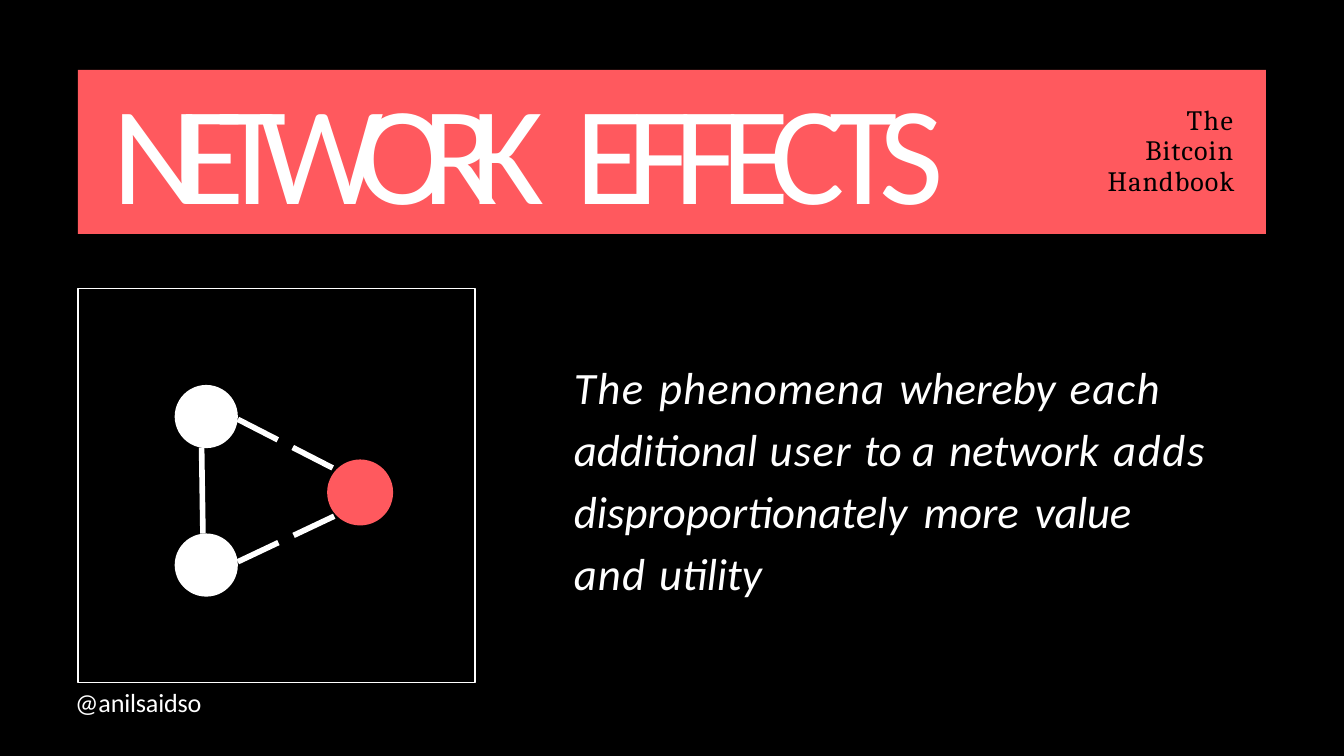
"""Build the Network Effects definition slide."""
from pptx import Presentation
from pptx import util as u
from pptx.dml.color import RGBColor
from pptx.enum import dml, shapes, text
from pptx.oxml import xmlchemy
from pptx.oxml.ns import qn

BLACK = RGBColor(0x00, 0x00, 0x00)
WHITE = RGBColor(0xFF, 0xFF, 0xFF)
CORAL = RGBColor(0xFF, 0x59, 0x5E)

WIDTH = u.Inches(10)
HEIGHT = u.Emu(WIDTH * 9 // 16)
NODE = 4.7


def across(share):
    """Turn a percentage of the slide width into a length."""
    return u.Emu(round(WIDTH * share / 100))


def down(share):
    """Turn a percentage of the slide height into a length."""
    return u.Emu(round(HEIGHT * share / 100))


def add_filled(slide, kind, left, top, width, height, fill=None, line=None, weight=0.75):
    """Add a preset shape with an optional fill and outline."""
    shape = slide.shapes.add_shape(kind, left, top, width, height)
    shape.shadow.inherit = False
    if fill is None:
        shape.fill.background()
    else:
        shape.fill.solid()
        shape.fill.fore_color.rgb = fill
    if line is None:
        shape.line.fill.background()
    else:
        shape.line.color.rgb = line
        shape.line.width = u.Pt(weight)
    return shape


def add_node(slide, x, y, fill, line=None):
    """Add a network node centred on a point."""
    size = across(NODE)
    add_filled(slide, shapes.MSO_SHAPE.OVAL, across(x) - size // 2, down(y) - size // 2,
               size, size, fill, line, 1.5)


def add_link(slide, start, end, dash=None):
    """Add a white link between two points."""
    link = slide.shapes.add_connector(shapes.MSO_CONNECTOR.STRAIGHT, across(start[0]),
                                      down(start[1]), across(end[0]), down(end[1]))
    link.line.color.rgb = WHITE
    link.line.width = u.Pt(3)
    if dash is not None:
        link.line.dash_style = dash
    properties = link._element.spPr
    properties.append(xmlchemy.OxmlElement("a:effectLst"))


def add_text(slide, box, runs, font, size, color, inset=0, indent=0.01,
             first_line=0, spacing=None, align=None, italic=None):
    """Add a one-paragraph text box from pairs of wording and letter spacing."""
    left, top, width, height = box
    shape = slide.shapes.add_textbox(across(left), down(top), across(width), down(height))
    frame = shape.text_frame
    frame.word_wrap = True
    frame.margin_left = frame.margin_right = frame.margin_bottom = 0
    frame.margin_top = u.Inches(inset)
    paragraph = frame.paragraphs[0]
    paragraph.alignment = align
    paragraph.line_spacing = spacing
    layout = paragraph._p.get_or_add_pPr()
    layout.set("marL", str(u.Inches(indent)))
    layout.set("indent", str(u.Inches(first_line)))
    for wording, tracking in runs:
        run = paragraph.add_run()
        run.text = wording
        run.font.name = font
        run.font.size = u.Pt(size)
        run.font.color.rgb = color
        run.font.italic = italic
        run._r.find(qn("a:rPr")).set("spc", str(round(tracking * 100)))


def spaced(words):
    """Give each word its letter spacing and the gap after it its own."""
    runs = []
    for word, tracking, gap in words:
        runs += [(word, tracking), (" ", gap)]
    return runs[:-1]


def add_network(slide):
    """Draw two linked nodes and a third one joining them."""
    add_node(slide, 15.35, 55.1, WHITE)
    add_node(slide, 15.35, 74.75, WHITE)
    add_node(slide, 26.8, 65.15, CORAL, CORAL)
    dash = dml.MSO_LINE.LONG_DASH
    add_link(slide, (17.7, 55.47), (25.1, 62.22), dash)
    add_link(slide, (17.7, 74.31), (25.1, 68.09), dash)
    add_link(slide, (15.1, 70.58), (15, 59.2))


def main():
    """Build and save the presentation."""
    presentation = Presentation()
    presentation.slide_width, presentation.slide_height = WIDTH, HEIGHT
    slide = presentation.slides.add_slide(presentation.slide_layouts[6])
    slide.background.fill.solid()
    slide.background.fill.fore_color.rgb = BLACK

    rectangle = shapes.MSO_SHAPE.RECTANGLE
    add_filled(slide, rectangle, across(5.8), down(38.2), across(29.55), down(52.1), line=WHITE)
    add_filled(slide, rectangle, across(5.8), down(9.25), across(88.4), down(21.7), CORAL)
    title = spaced([("NETWORK", -14.3, 0), ("EFFECTS", -9.2, 0)])
    add_text(slide, (8.2, 8.54, 70.7, 21.87), title, "Calibri", 75, WHITE, indent=0.02)
    definition = spaced([
        ("The", 0.9, 2), ("phenomena", 0.6, 2.2), ("whereby", 0, 2.1), ("each", 0.7, 2),
        ("additional", 0, 1.1), ("user", 0.7, 1.2), ("to", 0, 0), ("a", 0, 2.1),
        ("network", 0, 2.1), ("adds", 0.9, 2), ("disproportionately", 0, 3.2),
        ("more", 0, 3.2), ("value", -0.2, 4), ("and", 0.6, 1.5), ("utility", -0.1, 0)])
    add_text(slide, (42.6, 46.55, 47.9, 33.25), definition, "Calibri", 24, WHITE,
             spacing=1.15, italic=True)
    add_text(slide, (5.5, 90.5, 10, 4.62), [("@anilsaidso", -0.1)], "Calibri", 14, WHITE,
             inset=0.02)
    add_network(slide)
    add_text(slide, (80.85, 13.15, 11, 13.15), [("The ", 0.8), ("Bitcoin Handbook", 0.6)],
             "Cambria", 15, BLACK, inset=0.04, first_line=0.67, spacing=u.Pt(16.5),
             align=text.PP_ALIGN.RIGHT)
    presentation.save("out.pptx")


if __name__ == "__main__":
    main()
